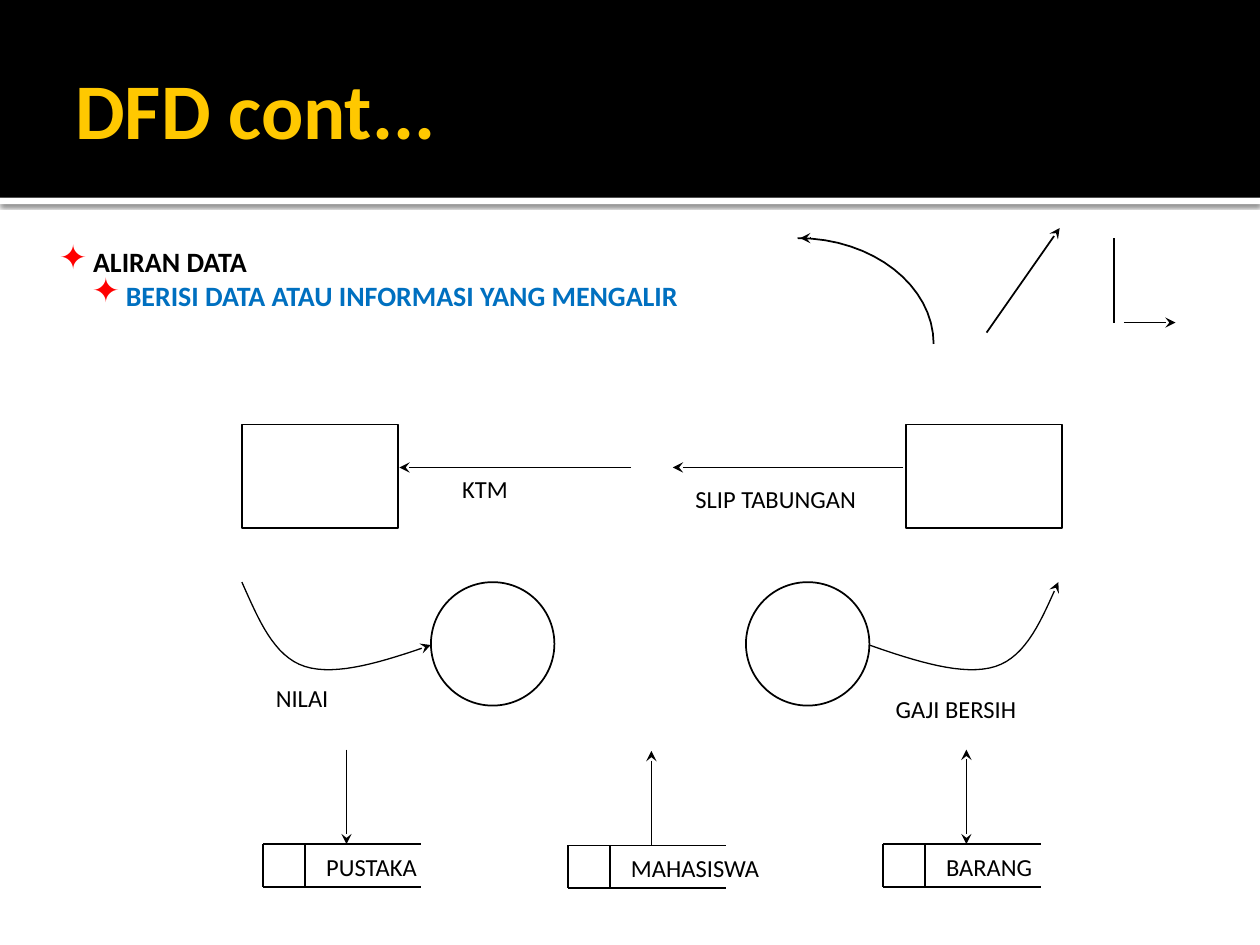
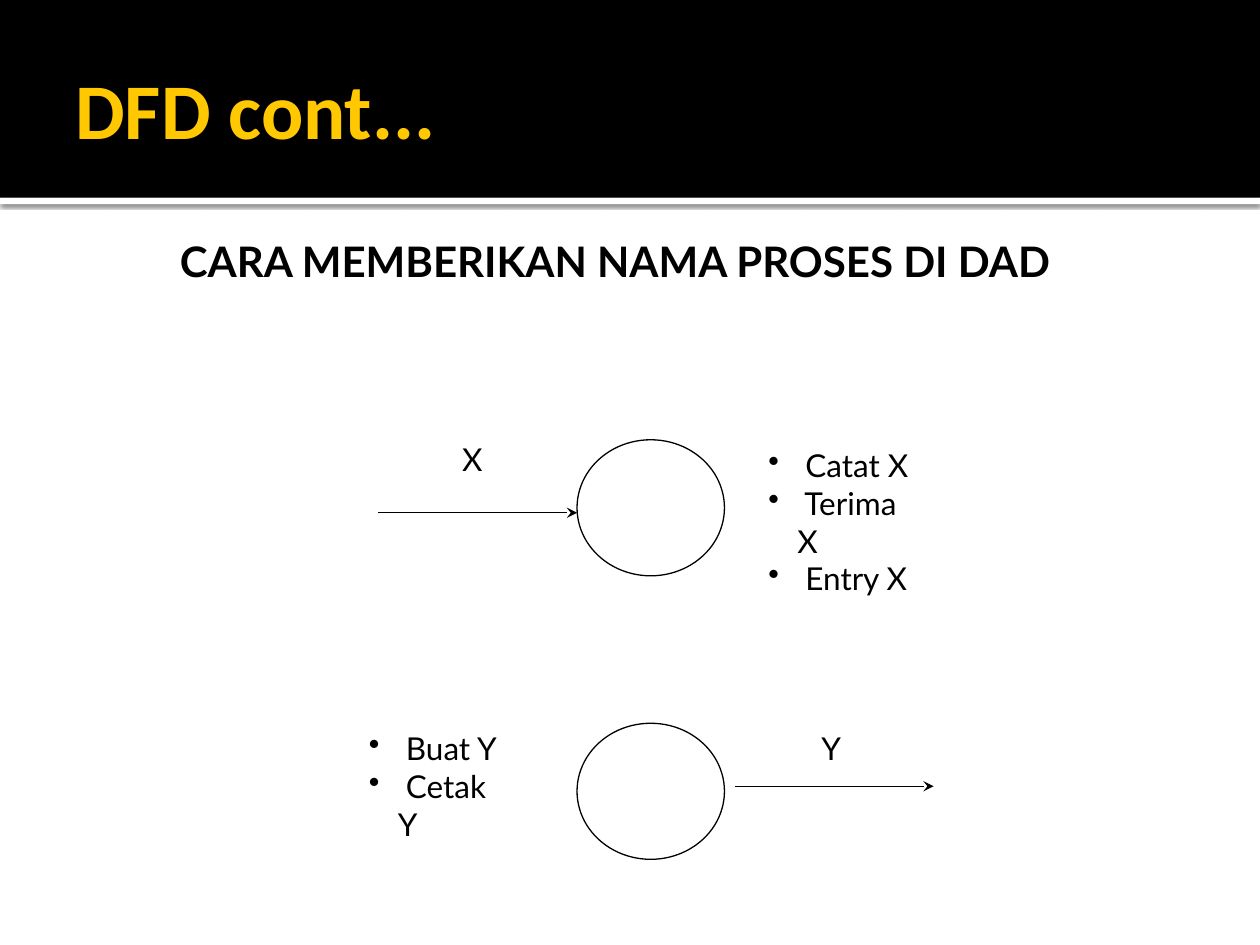
from lxml import etree
from pptx import Presentation
from pptx.dml.color import RGBColor
from pptx.enum.shapes import MSO_CONNECTOR, MSO_SHAPE
from pptx.enum.text import MSO_ANCHOR
from pptx.oxml.ns import qn
from pptx.util import Inches, Pt

RECTANGLE = MSO_SHAPE.RECTANGLE
ELLIPSE = MSO_SHAPE.OVAL
STRAIGHT = MSO_CONNECTOR.STRAIGHT
MIDDLE = MSO_ANCHOR.MIDDLE

BLACK, WHITE, GOLD = "000000", "FFFFFF", "FFC800"
RED, BLUE = "FF0000", "0070C0"
TITLE_FONT, NAMING_FONT = "Calibri", "Lato"
THIN, NORMAL = 0.75, 1
MIRROR_SUM = 10.32  # left x + right x of the mirrored curves
CURVE_STEPS = 16


def color(hex_text):
    return RGBColor.from_string(hex_text)


def add_xml(parent, tag, **attributes):
    return etree.SubElement(parent, qn(tag), attributes)


# Text
def add_text(slide, box, lines, size, font=TITLE_FONT, text_color=BLACK,
             bold=False, wrap=False):
    text_box = slide.shapes.add_textbox(*map(Inches, box))
    frame = text_box.text_frame
    frame.word_wrap = wrap
    for index, line in enumerate(lines):
        paragraph = frame.paragraphs[0] if index == 0 else frame.add_paragraph()
        paragraph.text = line
        paragraph.font.name = font
        paragraph.font.size = Pt(size)
        paragraph.font.bold = bold
        paragraph.font.color.rgb = color(text_color)
    return frame


def set_bullet(paragraph, character, margin, hanging, bullet_color=None):
    properties = paragraph._p.get_or_add_pPr()
    properties.set("marL", str(Inches(margin)))
    properties.set("indent", str(-Inches(hanging)))
    # Bullet settings come before the default run properties
    defaults = properties.find(qn("a:defRPr"))
    if bullet_color:
        add_xml(add_xml(properties, "a:buClr"), "a:srgbClr", val=bullet_color)
        add_xml(properties, "a:buSzPct", val="120000")
    add_xml(properties, "a:buChar", char=character)
    properties.append(defaults)


def add_dot_list(slide, box, lines):
    frame = add_text(slide, box, lines, 18, NAMING_FONT, wrap=True)
    for paragraph in frame.paragraphs:
        set_bullet(paragraph, "•", 0.23, 0.23)


# Shapes and lines
def add_block(slide, kind, box, fill=None, line_width=None):
    shape = slide.shapes.add_shape(kind, *map(Inches, box))
    shape.shadow.inherit = False
    if fill:
        shape.fill.solid()
        shape.fill.fore_color.rgb = color(fill)
    else:
        shape.fill.background()
    if line_width:
        style_line(shape, line_width)
    else:
        shape.line.fill.background()
    return shape


def style_line(shape, width, head=False, tail=False):
    shape.line.width = Pt(width)
    shape.line.color.rgb = color(BLACK)
    line = shape.line._get_or_add_ln()
    for wanted, tag in ((head, "a:headEnd"), (tail, "a:tailEnd")):
        if wanted:
            add_xml(line, tag, type="stealth")


def add_line(slide, start, end, width=NORMAL, head=False, tail=False):
    line = slide.shapes.add_connector(STRAIGHT, *map(Inches, start + end))
    style_line(line, width, head, tail)
    add_xml(line._element.spPr, "a:effectLst")


def bezier_points(start, control_1, control_2, end):
    points = []
    for step in range(CURVE_STEPS + 1):
        t = step / CURVE_STEPS
        weights = ((1 - t) ** 3, 3 * t * (1 - t) ** 2, 3 * t * t * (1 - t), t ** 3)
        corners = (start, control_1, control_2, end)
        points.append(tuple(sum(weight * corner[axis]
                                for weight, corner in zip(weights, corners))
                            for axis in (0, 1)))
    return points


def add_curve(slide, points, width, head=False, tail=False):
    emu_points = [(Inches(x), Inches(y)) for x, y in points]
    builder = slide.shapes.build_freeform(*emu_points[0])
    builder.add_line_segments(emu_points[1:], close=False)
    curve = builder.convert_to_shape()
    curve.shadow.inherit = False
    curve.fill.background()
    style_line(curve, width, head, tail)


def add_data_store(slide, left, top, name, label_width, head=False, tail=False):
    bottom = top + 0.34
    for y in (top, bottom):
        add_line(slide, (left, y), (left + 1.25, y))
    for x in (left, left + 0.33):
        add_line(slide, (x, top), (x, bottom))
    flow_x = left + 0.66
    add_line(slide, (flow_x, top - 0.75), (flow_x, top), THIN, head, tail)
    add_text(slide, (left + 0.4, top + 0.01, label_width, 0.34), [name], 14)


# Shared slide frame
def add_titled_slide(presentation):
    slide = presentation.slides.add_slide(presentation.slide_layouts[6])
    strip = add_block(slide, RECTANGLE, (0, 1.57, 10, 0.05), WHITE)
    effects = strip._element.spPr.find(qn("a:effectLst"))
    shadow = add_xml(effects, "a:outerShdw", blurRad=str(Pt(2.5)),
                     dist=str(Pt(0.8)), dir="5400000", rotWithShape="0")
    shadow_color = add_xml(shadow, "a:srgbClr", val=BLACK)
    add_xml(shadow_color, "a:alpha", val="60000")
    add_block(slide, RECTANGLE, (0, 0, 10, 1.57), BLACK)
    title = add_text(slide, (0.5, 0.17, 9, 1.37), ["DFD cont..."], 45,
                     text_color=GOLD, bold=True, wrap=True)
    title.vertical_anchor = MIDDLE
    title.margin_right = Inches(0.05)
    return slide


def build_data_flow_slide(presentation):
    slide = add_titled_slide(presentation)

    # Definition
    definition = add_text(
        slide, (0.35, 1.62, 5.81, 0.91),
        ["ALIRAN DATA", "BERISI DATA ATAU INFORMASI YANG MENGALIR"],
        16, bold=True, wrap=True)
    definition.margin_top = Inches(0.32)
    for paragraph, margin in zip(definition.paragraphs, (0.29, 0.55)):
        set_bullet(paragraph, "✦", margin, 0.27, RED)
    definition.paragraphs[1].font.color.rgb = color(BLUE)

    # Arrow styles
    arc = bezier_points((6.33, 1.89), (6.93, 1.89), (7.41, 2.27), (7.41, 2.73))
    add_curve(slide, arc, NORMAL)
    add_line(slide, (6.43, 1.89), (6.35, 1.89), tail=True)
    add_line(slide, (7.83, 2.64), (8.41, 1.81), tail=True)
    add_line(slide, (8.84, 1.89), (8.84, 2.56))
    add_line(slide, (8.92, 2.56), (9.33, 2.56), tail=True)

    # Flows of external entities
    for left in (1.92, 7.19):
        add_block(slide, RECTANGLE, (left, 3.37, 1.24, 0.82), line_width=NORMAL)
    for start_x, end_x in ((5.01, 3.17), (7.17, 5.34)):
        add_line(slide, (start_x, 3.71), (end_x, 3.71), THIN, tail=True)
    add_text(slide, (3.57, 3.71, 0.58, 0.33), ["KTM"], 14)
    add_text(slide, (5.42, 3.79, 1.49, 0.34), ["SLIP TABUNGAN"], 14)

    # Flows of processes
    for left in (3.42, 5.92):
        add_block(slide, ELLIPSE, (left, 4.62, 0.98, 0.98), line_width=NORMAL)
    inflow = (bezier_points((1.92, 4.62), (2.05, 4.91), (2.17, 5.21), (2.42, 5.29))
              + bezier_points((2.42, 5.29), (2.67, 5.37), (3.05, 5.25),
                              (3.42, 5.12))[1:])
    outflow = [(MIRROR_SUM - x, y) for x, y in inflow]
    add_curve(slide, inflow, THIN, tail=True)
    add_curve(slide, outflow, THIN, head=True)
    add_text(slide, (2.09, 5.37, 0.62, 0.34), ["NILAI"], 14)
    add_text(slide, (7.01, 5.46, 1.17, 0.34), ["GAJI BERSIH"], 14)

    # Flows of data stores
    add_data_store(slide, 2.09, 6.7, "PUSTAKA", 0.93, tail=True)
    add_data_store(slide, 4.51, 6.71, "MAHASISWA", 1.23, head=True)
    add_data_store(slide, 7.01, 6.7, "BARANG", 0.89, head=True, tail=True)


def build_process_naming_slide(presentation):
    slide = add_titled_slide(presentation)
    add_text(slide, (1.33, 1.82, 7.46, 0.5),
             ["CARA MEMBERIKAN NAMA PROSES DI DAD"], 24, NAMING_FONT, bold=True)

    # Each process: circle top, flow start, flow y, flow name and its place
    processes = (
        (3.49, 3, 4.07, "X", (3.57, 3.44)),
        (5.74, 5.83, 6.24, "Y", (6.42, 5.74)),
    )
    for top, flow_left, flow_y, name, place in processes:
        add_block(slide, ELLIPSE, (4.58, top, 1.17, 1.08), line_width=THIN)
        add_line(slide, (flow_left, flow_y), (flow_left + 1.58, flow_y),
                 THIN, tail=True)
        add_text(slide, place + (0.35, 0.4), [name], 18, NAMING_FONT)
    add_dot_list(slide, (6, 3.49, 1.38, 1), [" Catat X", " Terima X", " Entry X"])
    add_dot_list(slide, (2.83, 5.74, 1.24, 1), [" Buat Y", " Cetak Y"])


def main():
    presentation = Presentation()
    presentation.slide_width = Inches(10)
    presentation.slide_height = Inches(7.5)
    build_data_flow_slide(presentation)
    build_process_naming_slide(presentation)
    presentation.save("out.pptx")


if __name__ == "__main__":
    main()
